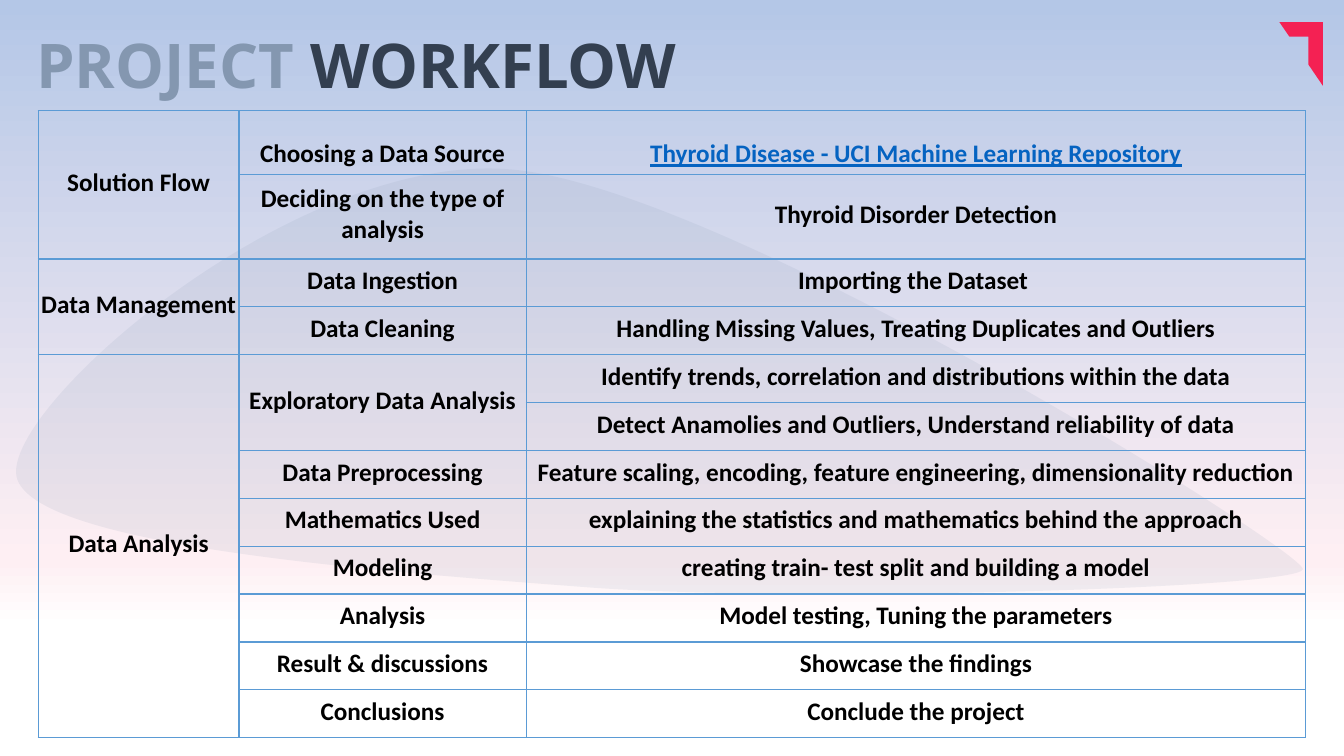
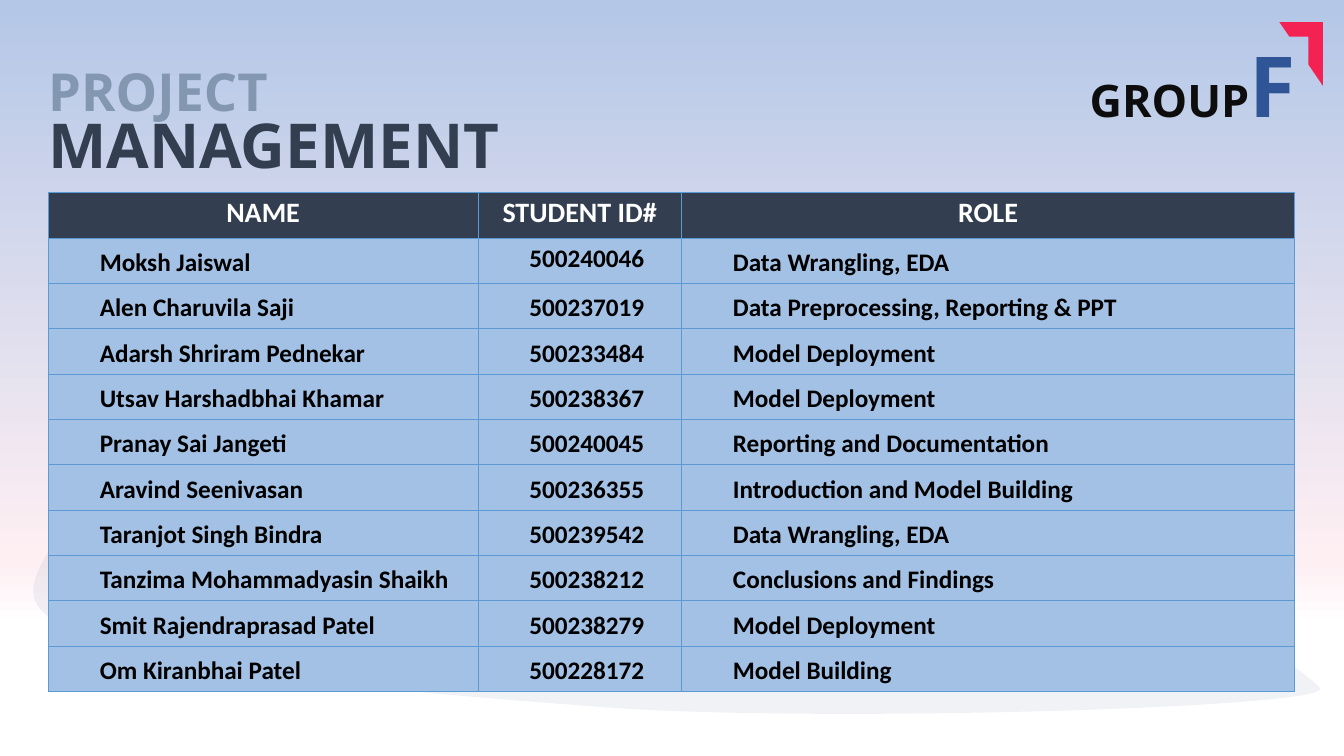
from lxml.etree import SubElement
from pptx import Presentation
from pptx.dml.color import RGBColor
from pptx.enum.shapes import MSO_SHAPE
from pptx.enum.text import MSO_ANCHOR, PP_ALIGN
from pptx.oxml.ns import qn
from pptx.util import Inches, Pt

TITLE_FONT = "Open Sans"
BODY_FONT = "Calibri"
SLATE = "8497B0"
NAVY = "333F50"
RED = "F42153"
BLACK = "000000"
WHITE = "FFFFFF"
BORDER = "5B9BD5"
ROW_BLUE = "A3C1E5"
LINK = "0563C1"
BACKGROUND = [(0, "B4C7E7"), (74, "FEEFF3"), (83, WHITE), (100, WHITE)]
BLOB_START = (0.01, 3.59)
BLOB_CURVES = [
    [(-0.2, 2.92), (2.38, 0.09), (4.51, 0.01)],
    [(6.64, -0.08), (12.78, 2.88), (12.79, 3.06)],
    [(12.79, 3.25), (7.93, 3.95), (5.8, 4.04)],
    [(3.68, 4.12), (0.23, 4.26), BLOB_START],
]
BLOB_ANGLE = 6.5

WORKFLOW = [
    ["Solution Flow", "Choosing a Data Source", "Thyroid Disease - UCI Machine Learning Repository"],
    [None, "Deciding on the type of analysis", "Thyroid Disorder Detection"],
    ["Data Management", "Data Ingestion", "Importing the Dataset "],
    [None, "Data Cleaning", "Handling Missing Values, Treating Duplicates and Outliers"],
    ["Data Analysis", "Exploratory Data Analysis",
     "Identify trends, correlation and distributions within the data"],
    [None, None, "Detect Anamolies and Outliers, Understand reliability of data"],
    [None, "Data Preprocessing",
     "Feature scaling, encoding, feature engineering, dimensionality reduction"],
    [None, "Mathematics Used", "explaining the statistics and mathematics behind the approach"],
    [None, "Modeling", "creating train- test split and building a model"],
    [None, "Analysis", "Model testing, Tuning the parameters"],
    [None, "Result & discussions", "Showcase the findings"],
    [None, "Conclusions", "Conclude the project"],
]

TEAM = [
    ["NAME", "STUDENT ID#", "ROLE"],
    ["Moksh Jaiswal", "500240046", "Data Wrangling, EDA"],
    ["Alen Charuvila Saji", "500237019", "Data Preprocessing, Reporting & PPT"],
    ["Adarsh Shriram Pednekar", "500233484", "Model Deployment"],
    ["Utsav Harshadbhai Khamar", "500238367", "Model Deployment"],
    ["Pranay Sai Jangeti", "500240045", "Reporting and Documentation"],
    ["Aravind Seenivasan", "500236355", "Introduction and Model Building"],
    ["Taranjot Singh Bindra", "500239542", "Data Wrangling, EDA"],
    ["Tanzima Mohammadyasin Shaikh", "500238212", "Conclusions and Findings"],
    ["Smit Rajendraprasad Patel", "500238279", "Model Deployment"],
    ["Om Kiranbhai Patel", "500228172", "Model Building"],
]


def rgb(color):
    return RGBColor.from_string(color)


def set_font(font, name, size, color):
    font.name = name
    font.size = Pt(size)
    font.bold = True
    font.color.rgb = rgb(color)


def paint_background(s):
    fill = s.background.fill
    fill.gradient()
    fill.gradient_angle = 270
    stops = s._element.find(".//" + qn("a:gsLst"))
    for stop in list(stops):
        stops.remove(stop)
    for position, color in BACKGROUND:
        stop = SubElement(stops, qn("a:gs"), pos=str(position * 1000))
        SubElement(stop, qn("a:srgbClr"), val=color)


def style_shape(sp, color):
    sp.shadow.inherit = False
    sp.fill.solid()
    sp.fill.fore_color.rgb = rgb(color)
    sp.line.fill.background()


def add_blob(s, left, top):
    def place(point):
        return Inches(left + point[0]), Inches(top + point[1])

    builder = s.shapes.build_freeform(*place(BLOB_START))
    builder.add_line_segments([place(curve[-1]) for curve in BLOB_CURVES], close=True)
    sp = builder.convert_to_shape()
    outline = sp._element.spPr
    for segment, curve in zip(list(outline.iter(qn("a:lnTo"))), BLOB_CURVES):
        bezier = segment.makeelement(qn("a:cubicBezTo"))
        for x, y in map(place, curve):
            SubElement(bezier, qn("a:pt"), x=str(x - sp.left), y=str(y - sp.top))
        segment.getparent().replace(segment, bezier)
    sp.rotation = BLOB_ANGLE
    style_shape(sp, SLATE)
    SubElement(outline.find(".//" + qn("a:srgbClr")), qn("a:alpha"), val="12000")


def add_corner(s):
    sp = s.shapes.add_shape(
        MSO_SHAPE.HALF_FRAME, Inches(12.69), Inches(0.22), Inches(0.43), Inches(0.63))
    style_shape(sp, RED)
    sp._element.spPr.find(qn("a:xfrm")).set("flipH", "1")


def add_heading(s, left, top, width, lines, spacing=None):
    box = s.shapes.add_textbox(Inches(left), Inches(top), Inches(width), Inches(1.2))
    tf = box.text_frame
    tf.word_wrap = True
    tf.vertical_anchor = MSO_ANCHOR.BOTTOM
    for i, runs in enumerate(lines):
        p = tf.paragraphs[0] if i == 0 else tf.add_paragraph()
        if spacing:
            p.line_spacing = spacing
        for text, size, color in runs:
            r = p.add_run()
            r.text = text
            set_font(r.font, TITLE_FONT, size, color)


def set_borders(cell, width):
    tc_pr = cell._tc.get_or_add_tcPr()
    for side in ("a:lnL", "a:lnR", "a:lnT", "a:lnB"):
        ln = SubElement(tc_pr, qn(side), w=str(Pt(width)))
        fill = SubElement(ln, qn("a:solidFill"))
        SubElement(fill, qn("a:srgbClr"), val=BORDER)


def fill_cell(cell, text, size=18, color=BLACK, fill=None, anchor=MSO_ANCHOR.MIDDLE, indent=None):
    cell.margin_left = cell.margin_right = cell.margin_top = Inches(0.01)
    cell.margin_bottom = Inches(0.05)
    cell.vertical_anchor = anchor
    if fill:
        cell.fill.solid()
        cell.fill.fore_color.rgb = rgb(fill)
    else:
        cell.fill.background()
    p = cell.text_frame.paragraphs[0]
    if indent:
        p.level = 1
        p_pr = p._p.get_or_add_pPr()
        p_pr.set("marL", str(Inches(indent)))
        p_pr.set("indent", "0")
    else:
        p.alignment = PP_ALIGN.CENTER
    r = p.add_run()
    r.text = text
    set_font(r.font, BODY_FONT, size, color)
    return r


def add_grid(s, left, top, widths, heights, border):
    frame = s.shapes.add_table(
        len(heights), len(widths), Inches(left), Inches(top),
        Inches(sum(widths)), Inches(sum(heights)))
    table = frame.table
    table.first_row = table.horz_banding = False
    for column, width in zip(table.columns, widths):
        column.width = Inches(width)
    for row, height in zip(table.rows, heights):
        row.height = Inches(height)
    for cell in table.iter_cells():
        set_borders(cell, border)
    return table


def merge_down(table, rows):
    for j in range(len(rows[0])):
        start = 0
        for i in range(1, len(rows) + 1):
            if i == len(rows) or rows[i][j] is not None:
                if i - start > 1:
                    table.cell(start, j).merge(table.cell(i - 1, j))
                start = i


def add_slide(prs, blob_left, blob_top):
    s = prs.slides.add_slide(prs.slide_layouts[6])
    paint_background(s)
    add_blob(s, blob_left, blob_top)
    return s


def workflow_slide(prs):
    s = add_slide(prs, 0.29, 1.87)
    add_heading(s, 0.26, -0.15, 10.91, [[("PROJECT ", 44, SLATE), ("WORKFLOW", 44, NAVY)]])
    add_corner(s)
    heights = [0.63, 0.84] + [(6.22 - 0.63 - 0.84) / 10] * 10
    table = add_grid(s, 0.38, 1.1, [1.99, 2.85, 7.73], heights, 1)
    merge_down(table, WORKFLOW)
    for i, row in enumerate(WORKFLOW):
        for j, text in enumerate(row):
            if text is None:
                continue
            anchor = MSO_ANCHOR.BOTTOM if i == 0 and j > 0 else MSO_ANCHOR.MIDDLE
            r = fill_cell(table.cell(i, j), text, anchor=anchor)
            if (i, j) == (0, 2):
                r.font.color.rgb = rgb(LINK)
                r.font.underline = True


def management_slide(prs):
    s = add_slide(prs, 0.46, 3.06)
    add_heading(s, 0.38, 0.64, 6.58,
                [[("PROJECT", 37.4, SLATE)], [("MANAGEMENT", 44.2, NAVY)]], 0.8)
    add_corner(s)
    table = add_grid(s, 0.48, 1.91, [4.26, 2.02, 6.08], [4.95 / len(TEAM)] * len(TEAM), 0.5)
    for i, row in enumerate(TEAM):
        for j, text in enumerate(row):
            cell = table.cell(i, j)
            if i == 0:
                fill_cell(cell, text, 20, WHITE, NAVY)
            else:
                anchor = MSO_ANCHOR.MIDDLE if (i, j) == (1, 1) else MSO_ANCHOR.BOTTOM
                fill_cell(cell, text, fill=ROW_BLUE, anchor=anchor, indent=0.5)
    add_heading(s, 10.71, 0.18, 2.63, [[("GROUP", 32, "0D0D0D"), ("F", 60, "2F5597")]])


def main():
    prs = Presentation()
    prs.slide_width = Inches(13.33)
    prs.slide_height = Inches(7.5)
    workflow_slide(prs)
    management_slide(prs)
    prs.save("out.pptx")


if __name__ == "__main__":
    main()
